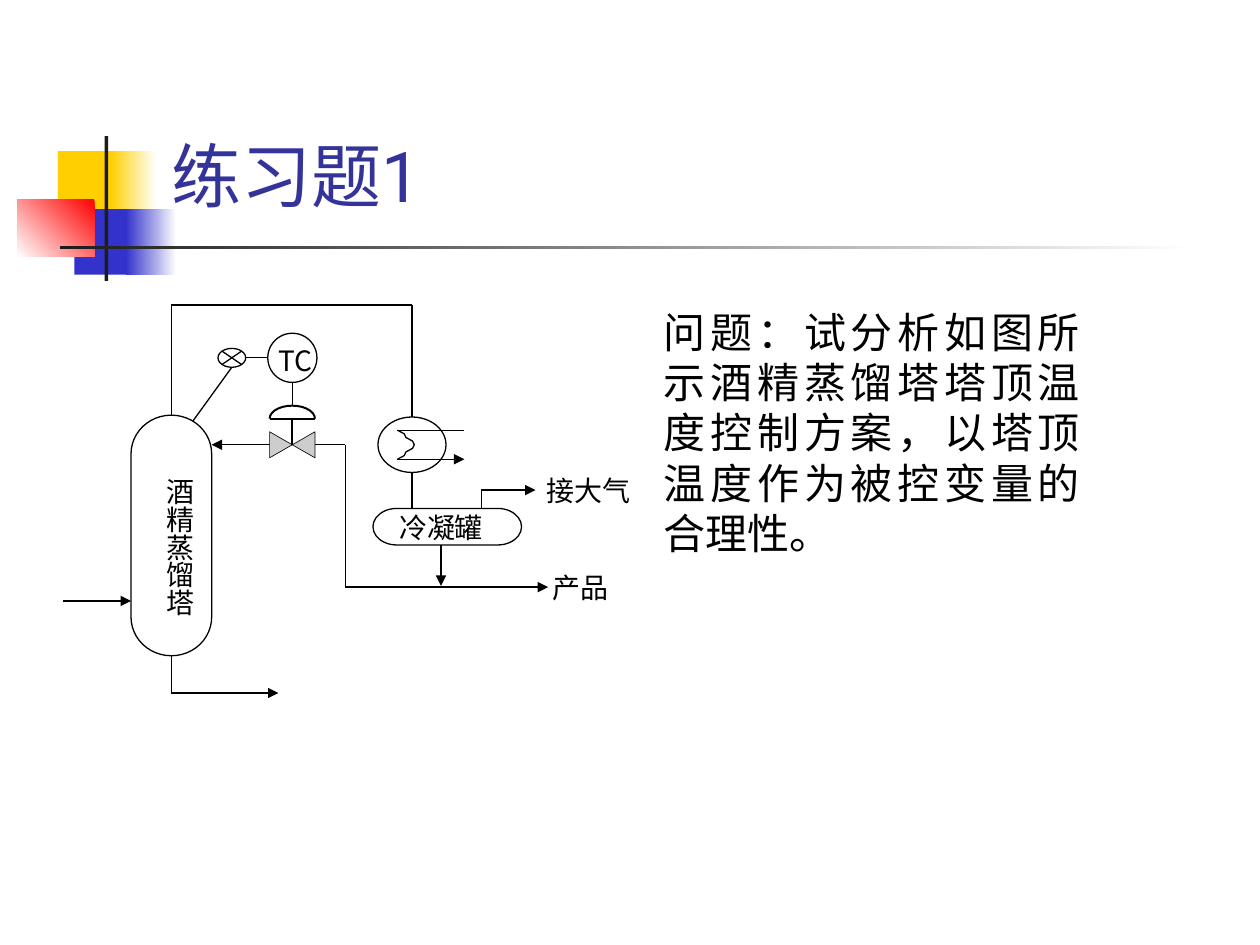
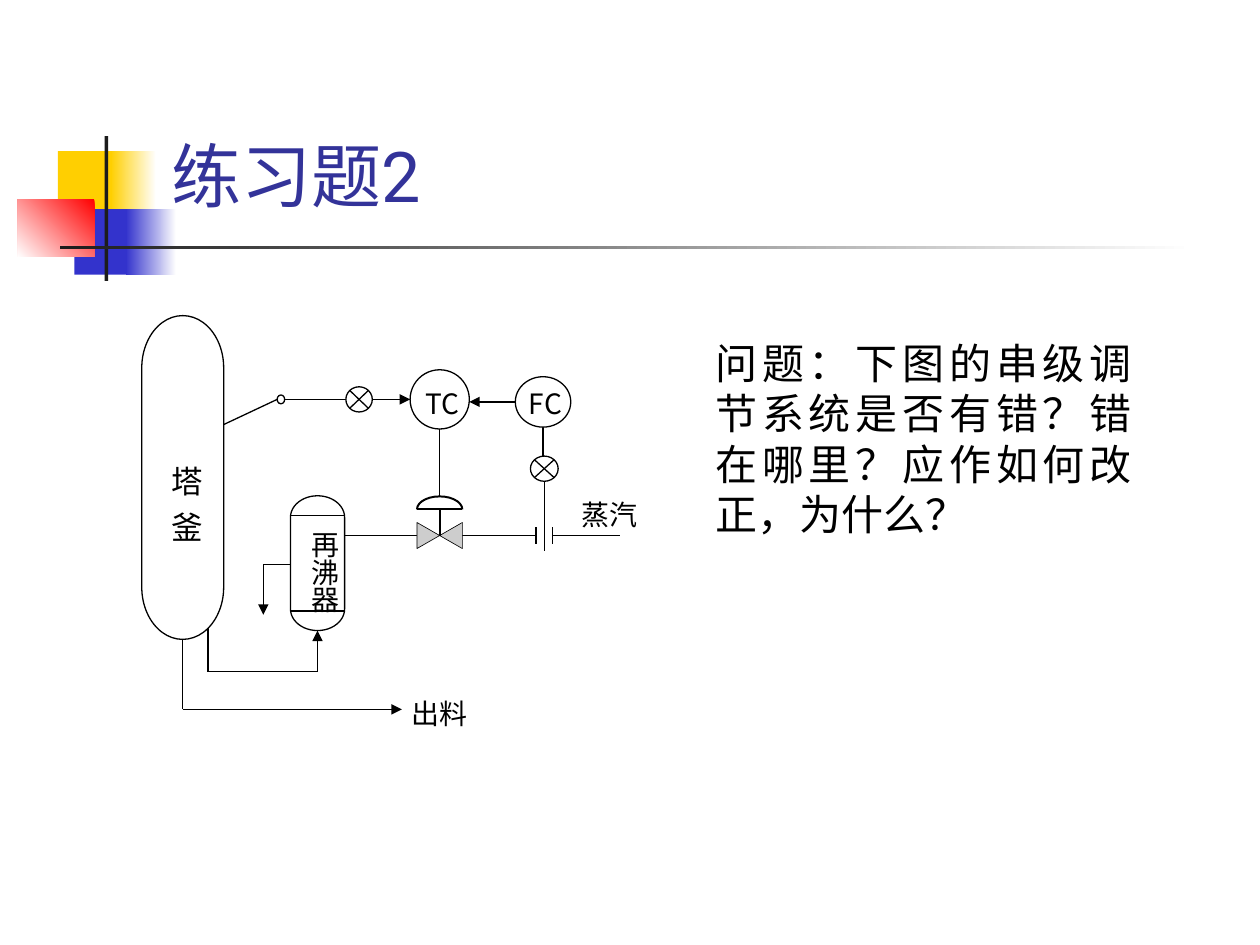
from math import cos, pi, sin

from lxml.etree import SubElement
from pptx import Presentation
from pptx.dml.color import RGBColor as Rgb
from pptx.enum.shapes import MSO_CONNECTOR as Link, MSO_SHAPE as Shape
from pptx.enum.text import MSO_ANCHOR as Anchor, MSO_AUTO_SIZE as Fit, PP_ALIGN as Align
from pptx.oxml.ns import qn
from pptx.util import Inches, Pt

THEME = {
    "colors": {"title": "333399", "ink": "000000", "paper": "FFFFFF", "valve": "CDCDCD",
               "gold": "FFCF01", "blue": "3333CC", "red": "FF0000", "bar": "1C1C1C"},
    "lines": {"hair": 0.37, "thin": 0.75, "bold": 1.13},
    "east_asian": "Noto Sans CJK SC",
    "text": {
        "title": {"size": 40, "font": "Roboto", "color": "title", "align": Align.LEFT},
        "question": {"size": 24, "font": "Times New Roman", "pitch": 1.2, "area": (3.5, 2.5)},
        "label": {"size": 16, "font": "Times New Roman", "pitch": 1.33, "area": (0.96, 0.44)},
        "tag": {"size": 16, "font": "Noto Sans CJK SC", "pitch": 1.33, "area": (0.54, 0.44)},
        "upright": {"size": 16, "font": "Times New Roman", "pitch": 1.2, "area": (0.64, 1.35),
                    "vertical": True},
        "spaced": {"size": 18, "font": "Times New Roman", "pitch": 1.2, "area": (0.64, 1),
                   "vertical": True, "spacing": 8},
    },
}

TITLE_AREA = (1.26, 0.68, 8.52, 1.09)
EMBLEM = [
    ((0.46, 1.2, 0.48, 0.52), "gold", None),
    ((0.88, 1.2, 0.36, 0.52), ("paper", "gold"), 180),
    ((0.59, 1.66, 0.46, 0.52), "blue", None),
    ((1, 1.66, 0.4, 0.52), ("paper", "blue"), 180),
    ((0.14, 1.58, 0.61, 0.46), ("red", "paper"), 225),
    ((0.83, 1.08, 0.03, 1.15), "bar", None),
    ((0.48, 1.95, 9, 0.03), ("paper", "bar"), 180),
]

VESSEL, TANK = "vessel", Shape.FLOWCHART_TERMINATOR
CIRCLE, JUNCTION = Shape.OVAL, Shape.FLOWCHART_SUMMING_JUNCTION
VALVE, GUIDE, COIL = "valve", "guide", "coil"

EXERCISES = [
    {
        "title": "练习题1",
        "parts": {
            "tower": (VESSEL, 1.36, 4.25, 0.64, 1.91),
            "tank": (TANK, 3.55, 4.18, 1.18, 0.29),
            "condenser": (CIRCLE, 3.27, 3.53, 0.54, 0.44),
            "sensor": (JUNCTION, 1.84, 2.84, 0.22, 0.15),
            "TC": (CIRCLE, 2.32, 2.84, 0.39, 0.39),
            "valve": (VALVE, 2.32, 3.53, 0.36, 0.62),
            "coil": (COIL, 3.42, 3.53, 0.53, 0.23),
        },
        "probe": [("sensor", "sensor.bottom"), (1.46, 3.44)],
        "pipes": [
            ("h", "sensor.right", "sensor", "TC.left"),
            ("v", "tower", "tower.top", 2.42, "condenser", "condenser.top"),
            ("v", "condenser", "condenser.bottom", "tank.top"),
            ("v", "TC", "TC.bottom", "valve.top"),
        ],
        "flows": [
            ("h", 0.5, 4.77, "tower.left"),
            ("v", "tower", "tower.bottom", 5.5, 2.21),
            ("h", 2.74, "valve", "tower.right"),
            ("v", 3.5, "tank.bottom", 4.65),
            ("v", 2.74, "valve", 4.66, 4.35),
            ("v", 3.82, "tank.top", 3.89, 4.25),
        ],
        "front_pipes": [("h", "coil.left", "coil.top", "coil.right")],
        "front_flows": [("h", "coil.left", "coil.bottom", "coil.right")],
        "texts": [
            ("问题：试分析如图所示酒精蒸馏塔塔顶温度控制方案，以塔顶温度作为被控变量的合理性。",
             5.17, 2.38, "question"),
            ("TC", 2.11, 2.65, "tag"),
            ("酒精蒸馏塔", 0.97, 3.69, "upright"),
            ("冷凝罐", 3.07, 3.97, "label"),
            ("产品", 4.29, 4.45, "label"),
            ("接大气", 4.24, 3.68, "label"),
        ],
    },
    {
        "title": "练习题2",
        "parts": {
            "tower": (VESSEL, 1.45, 3.79, 0.65, 2.57),
            "reboiler": (VESSEL, 2.52, 4.47, 0.43, 1.07),
            "probe": (CIRCLE, 2.23, 3.17, 0.06, 0.07),
            "transmitter": (JUNCTION, 2.85, 3.17, 0.21, 0.2),
            "FC": (CIRCLE, 4.31, 3.19, 0.44, 0.4),
            "meter": (JUNCTION, 4.32, 3.72, 0.22, 0.2),
            "TC": (CIRCLE, 3.49, 3.17, 0.47, 0.47),
            "valve": (VALVE, 3.49, 4.25, 0.36, 0.62),
            "orifice": (GUIDE, 4.32, 4.25, 0.13, 0.13),
        },
        "probe": [("tower.right", 3.37), ("probe.left", "probe")],
        "pipes": [
            ("v", "orifice.left", "orifice.top", "orifice.bottom"),
            ("v", "orifice.right", "orifice.top", "orifice.bottom"),
            ("v", "meter", "meter.bottom", 4.37),
            ("h", "reboiler.right", "valve", "orifice.left"),
            ("h", "orifice.right", "orifice", 4.92),
            ("v", "FC", "FC.bottom", "meter.top"),
            ("v", "TC", "TC.bottom", "valve.top"),
        ],
        "flows": [
            ("v", "tower", "tower.bottom", 5.63, 3.19),
            ("v", 1.65, 4.97, 5.33, "reboiler", "reboiler.bottom"),
            ("h", "reboiler.left", 4.48, 2.09, 4.88),
            ("h", "probe.right", "probe", "TC.left"),
            ("h", "FC.left", "FC", "TC.right"),
        ],
        "front_pipes": [("h", "reboiler.left", y, "reboiler.right") for y in (4.09, 4.85)],
        "front_flows": [],
        "texts": [
            ("问题：下图的串级调节系统是否有错？错在哪里？应作如何改正，为什么？", 5.58, 2.63, "question"),
            ("蒸汽", 4.52, 3.87, "label"),
            ("FC", 4.1, 2.99, "tag"),
            ("TC", 3.28, 2.99, "tag"),
            ("塔釜", 1.04, 3.6, "spaced"),
            ("出料", 3.17, 5.45, "label"),
            ("再沸器", 2.12, 4.11, "upright"),
        ],
    },
]


def assign(target, values):
    for name, value in values.items():
        setattr(target, name, value)


def color(name):
    return Rgb.from_string(THEME["colors"][name])


def inches(values):
    return [Inches(value) for value in values]


def paint(shape, fill=None, line=None):
    shape.shadow.inherit = False
    if fill:
        shape.fill.solid()
        shape.fill.fore_color.rgb = color(fill)
    else:
        shape.fill.background()
    if line:
        shape.line.color.rgb = color("ink")
        shape.line.width = Pt(THEME["lines"][line])
    else:
        shape.line.fill.background()


def write(frame, text, style):
    wide, narrow = ("top", "bottom"), ("left", "right")
    if not style.get("vertical"):
        wide, narrow = narrow, wide
    assign(frame, {"word_wrap": True, "auto_size": Fit.NONE})
    assign(frame, {f"margin_{side}": Inches(0.1) for side in wide})
    assign(frame, {f"margin_{side}": Inches(0.05) for side in narrow})
    para = frame.paragraphs[0]
    para.alignment = style.get("align", Align.JUSTIFY)
    if "pitch" in style:
        para.line_spacing = Pt(round(style["size"] * style["pitch"], 1))
    span = para.add_run()
    span.text = text
    assign(span.font, {"size": Pt(style["size"]), "name": style["font"]})
    span.font.color.rgb = color(style.get("color", "ink"))
    properties = span.font._element
    SubElement(properties, qn("a:ea")).set("typeface", THEME["east_asian"])
    if "spacing" in style:
        properties.set("spc", str(style["spacing"] * 100))


def add_text(page, text, left, top, style_name):
    style = THEME["text"][style_name]
    box = page.shapes.add_textbox(*inches((left, top, *style["area"])))
    write(box.text_frame, text, style)
    if style.get("vertical"):
        box.element.find(".//" + qn("a:bodyPr")).set("vert", "eaVert")


def locate(parts, place, axis):
    if not isinstance(place, str):
        return place
    name, _, side = place.partition(".")
    _, x, y, width, height = parts[name]
    center, extent = (x, width) if axis == "h" else (y, height)
    direction = {"left": -1, "top": -1, "right": 1, "bottom": 1}.get(side, 0)
    return center + direction * extent / 2


def trace(parts, route):
    axis, x, y, *turns = route
    x, y = locate(parts, x, "h"), locate(parts, y, "v")
    points = [(x, y)]
    for turn in turns:
        if axis == "h":
            x, axis = locate(parts, turn, axis), "v"
        else:
            y, axis = locate(parts, turn, axis), "h"
        points.append((x, y))
    return points


def add_route(page, points, arrow=False, weight="thin"):
    for start, end in zip(points, points[1:]):
        pipe = page.shapes.add_connector(Link.STRAIGHT, *inches(start + end))
        pipe.line.color.rgb = color("ink")
        pipe.line.width = Pt(THEME["lines"][weight])
        properties = pipe.element.spPr
        SubElement(properties, qn("a:effectLst"))
        if arrow and end == points[-1]:
            SubElement(properties.find(qn("a:ln")), qn("a:tailEnd")).set("type", "triangle")


def add_outline(page, points, fill=None, weight="thin", close=False):
    corners = [inches(point) for point in points]
    builder = page.shapes.build_freeform(*corners[0])
    builder.add_line_segments(corners[1:], close=close)
    paint(builder.convert_to_shape(), fill, weight)


def add_valve(page, x, y, width, height):
    reach, half = width / 2, height / 6
    left, right, base = x - reach, x + reach, y - height / 3
    add_outline(page, [(right, y + half), (right, y - half), (left, y + half), (left, y - half)],
                "valve", "hair", True)
    add_route(page, [(x, y), (x, base)], weight="bold")
    add_route(page, [(left, base), (right, base)], weight="bold")
    steps = 14
    angles = [pi * step / steps for step in range(steps + 1)]
    add_outline(page, [(x - reach * cos(a), base - half * sin(a)) for a in angles], weight="bold")


def add_coil(page, x, y, width, height):
    left, depth, steps = x - width / 2, width / 4, 4
    add_outline(page, [(left + depth * (1 - abs(step) / steps) + 0.02 * (step % 2),
                        y + height / 2 * step / steps) for step in range(-steps, steps + 1)])


def add_part(page, kind, x, y, width, height):
    if kind == GUIDE:
        return
    if kind in (VALVE, COIL):
        draw = add_valve if kind == VALVE else add_coil
        draw(page, x, y, width, height)
        return
    upright = kind == VESSEL
    if upright:
        kind, width, height = TANK, height, width
    shape = page.shapes.add_shape(kind, *inches((x - width / 2, y - height / 2, width, height)))
    paint(shape, "paper", "thin")
    shape.rotation = 90 if upright else 0


def add_emblem(page, layout):
    for area, fill, angle in EMBLEM:
        block = page.shapes.add_shape(Shape.RECTANGLE, *inches(area))
        paint(block, None if angle else fill)
        if angle:
            block.fill.gradient()
            block.fill.gradient_angle = angle
            for stop, name in zip(block.fill.gradient_stops, fill):
                stop.color.rgb = color(name)
        layout.shapes.element.append(block.element)


def add_exercise(page, exercise):
    title = page.shapes.title.text_frame
    write(title, exercise["title"], THEME["text"]["title"])
    title.vertical_anchor = Anchor.BOTTOM
    parts = exercise["parts"]
    add_route(page, [(locate(parts, x, "h"), locate(parts, y, "v")) for x, y in exercise["probe"]])
    for layer in ("", "front_"):
        for group in ("pipes", "flows"):
            for route in exercise[layer + group]:
                add_route(page, trace(parts, route), arrow=group == "flows")
        if not layer:
            for part in parts.values():
                add_part(page, *part)
    for text in exercise["texts"]:
        add_text(page, *text)


def main():
    deck = Presentation()
    assign(deck, {"slide_width": Inches(10), "slide_height": Inches(7.5)})
    layout = deck.slide_layouts[5]
    assign(layout.placeholders[0], dict(zip(("left", "top", "width", "height"), inches(TITLE_AREA))))
    pages = [deck.slides.add_slide(layout) for _ in EXERCISES]
    add_emblem(pages[0], layout)
    for page, exercise in zip(pages, EXERCISES):
        add_exercise(page, exercise)
    deck.save("out.pptx")


if __name__ == "__main__":
    main()
